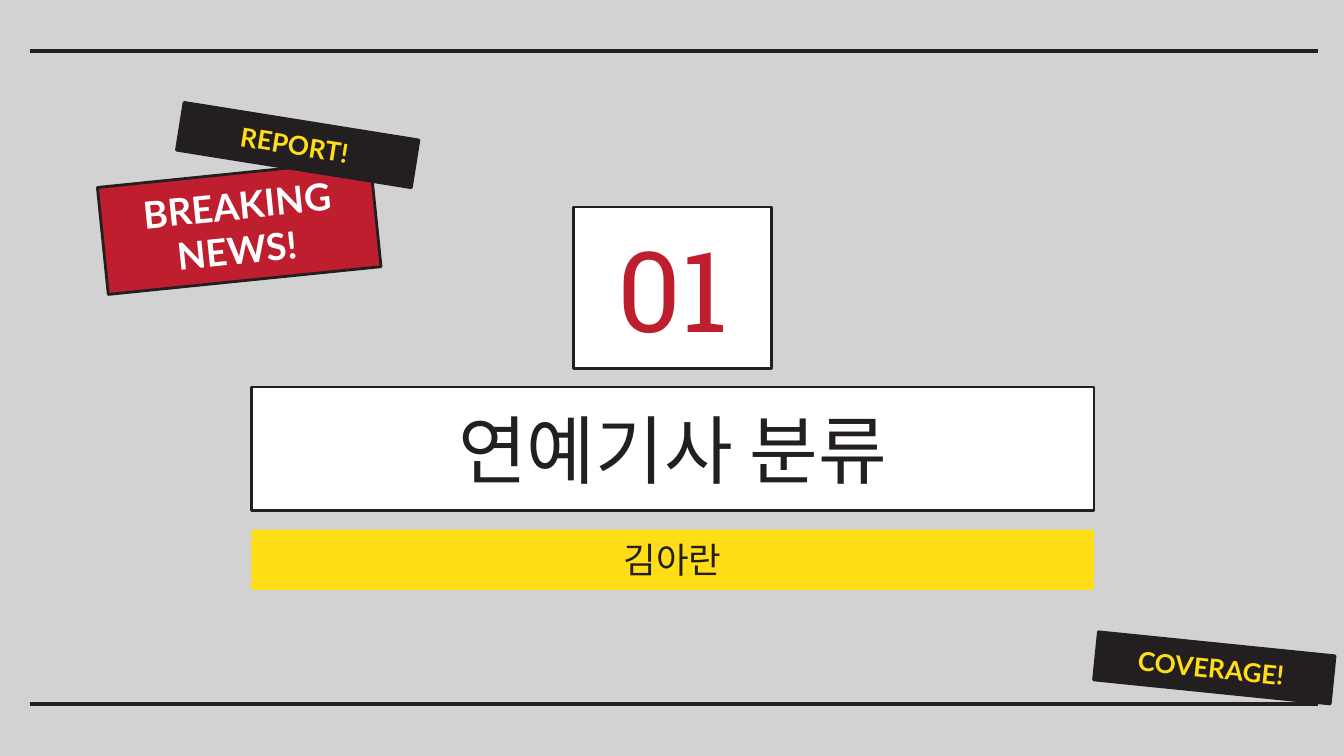
from lxml import etree
from pptx import Presentation
from pptx.dml.color import RGBColor
from pptx.enum.shapes import MSO_CONNECTOR as Connector, MSO_SHAPE as Shape
from pptx.enum.text import MSO_ANCHOR as Anchor, MSO_AUTO_SIZE as AutoSize, PP_ALIGN as Align
from pptx.oxml.ns import qn
from pptx.util import Inches, Pt

COLORS = {
    "background": "D3D2D2",
    "ink": "231F20",
    "paper": "FFFFFF",
    "red": "BE1E2D",
    "yellow": "FFDE17",
}
HEADING_FONT = "Roboto Slab"
BODY_FONT = "Lato"


def color(name):
    return RGBColor.from_string(COLORS[name])


def write_text(shape, text, font=BODY_FONT, size=14, ink="ink", bold=False):
    frame = shape.text_frame
    frame.word_wrap = True
    frame.auto_size = AutoSize.NONE
    frame.vertical_anchor = Anchor.MIDDLE
    frame.margin_left = frame.margin_right = Inches(0.1)
    frame.margin_top = frame.margin_bottom = Inches(0.1)
    paragraph = frame.paragraphs[0]
    paragraph.alignment = Align.CENTER
    run = paragraph.add_run()
    run.text = text
    run.font.name = font
    run.font.size = Pt(size)
    run.font.bold = bold
    run.font.color.rgb = color(ink)


def style_box(shape, fill, outlined=True):
    shape.fill.solid()
    shape.fill.fore_color.rgb = color(fill)
    if outlined:
        shape.line.color.rgb = color("ink")
        shape.line.width = Pt(1.5)
    else:
        shape.line.fill.background()


def add_box(slide, left, top, width, height, fill, outlined=True, rotation=0):
    shape = slide.shapes.add_shape(
        Shape.RECTANGLE, Inches(left), Inches(top), Inches(width), Inches(height))
    shape.shadow.inherit = False
    shape.rotation = rotation
    style_box(shape, fill, outlined)
    return shape


def add_rules(slide, left, top, width, height):
    """Draw the top and bottom edges of the given box."""
    for y in (top, top + height):
        rule = slide.shapes.add_connector(
            Connector.STRAIGHT, Inches(left), Inches(y), Inches(left + width), Inches(y))
        rule.line.color.rgb = color("ink")
        rule.line.width = Pt(2.25)
        etree.SubElement(rule.element.spPr, qn("a:effectLst"))


def add_section_heading(slide, left, top, width, number, title, author):
    """Stack the number, title and author boxes, centred in the given width."""
    number_width, number_height = 1.47, 1.2
    title_top, title_height = top + 1.34, 0.92
    author_top, author_height = top + 2.4, 0.45

    title_box = slide.shapes.title
    title_box.left, title_box.top = Inches(left), Inches(title_top)
    title_box.width, title_box.height = Inches(width), Inches(title_height)
    style_box(title_box, "paper")
    write_text(title_box, title, font=HEADING_FONT, size=40)

    number_left = left + (width - number_width) / 2
    number_box = add_box(slide, number_left, top, number_width, number_height, "paper")
    write_text(number_box, number, font=HEADING_FONT, size=60, ink="red")

    author_box = add_box(slide, left, author_top, width, author_height, "yellow", outlined=False)
    write_text(author_box, author, size=19)


def add_black_label(slide, left, top, text, rotation):
    label = add_box(slide, left, top, 1.77, 0.36, "ink", rotation=rotation)
    write_text(label, text, ink="yellow", bold=True)


def add_news_labels(slide, left, top):
    """Place the red label with the black one overlapping its top edge."""
    breaking = add_box(slide, left, top + 0.39, 2.04, 0.8, "red", rotation=354.2)
    write_text(breaking, "BREAKING NEWS! ", size=20, ink="paper", bold=True)
    add_black_label(slide, left + 0.57, top, "REPORT! ", rotation=9.1)


def main():
    presentation = Presentation()
    presentation.slide_width = Inches(10)
    presentation.slide_height = presentation.slide_width * 9 // 16
    slide = presentation.slides.add_slide(presentation.slide_layouts.get_by_name("Title Only"))
    slide.background.fill.solid()
    slide.background.fill.fore_color.rgb = color("background")

    add_rules(slide, 0.22, 0.38, 9.59, 4.86)
    add_section_heading(slide, 1.87, 1.54, 6.27, "01", "연예기사 분류", "김아란")
    add_news_labels(slide, 0.76, 0.9)
    add_black_label(slide, 8.15, 4.79, "COVERAGE! ", rotation=5.8)
    presentation.save("out.pptx")


if __name__ == "__main__":
    main()
